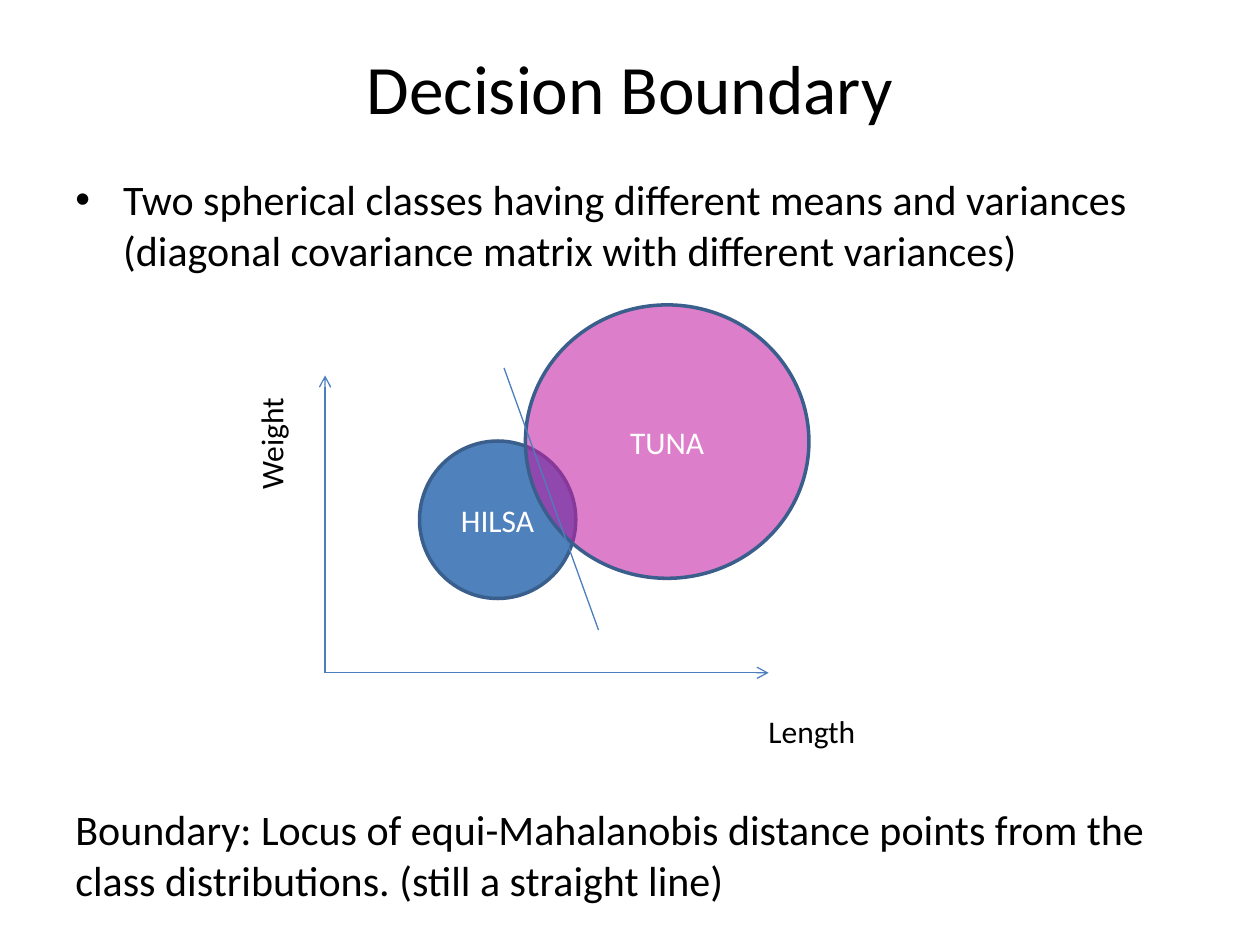
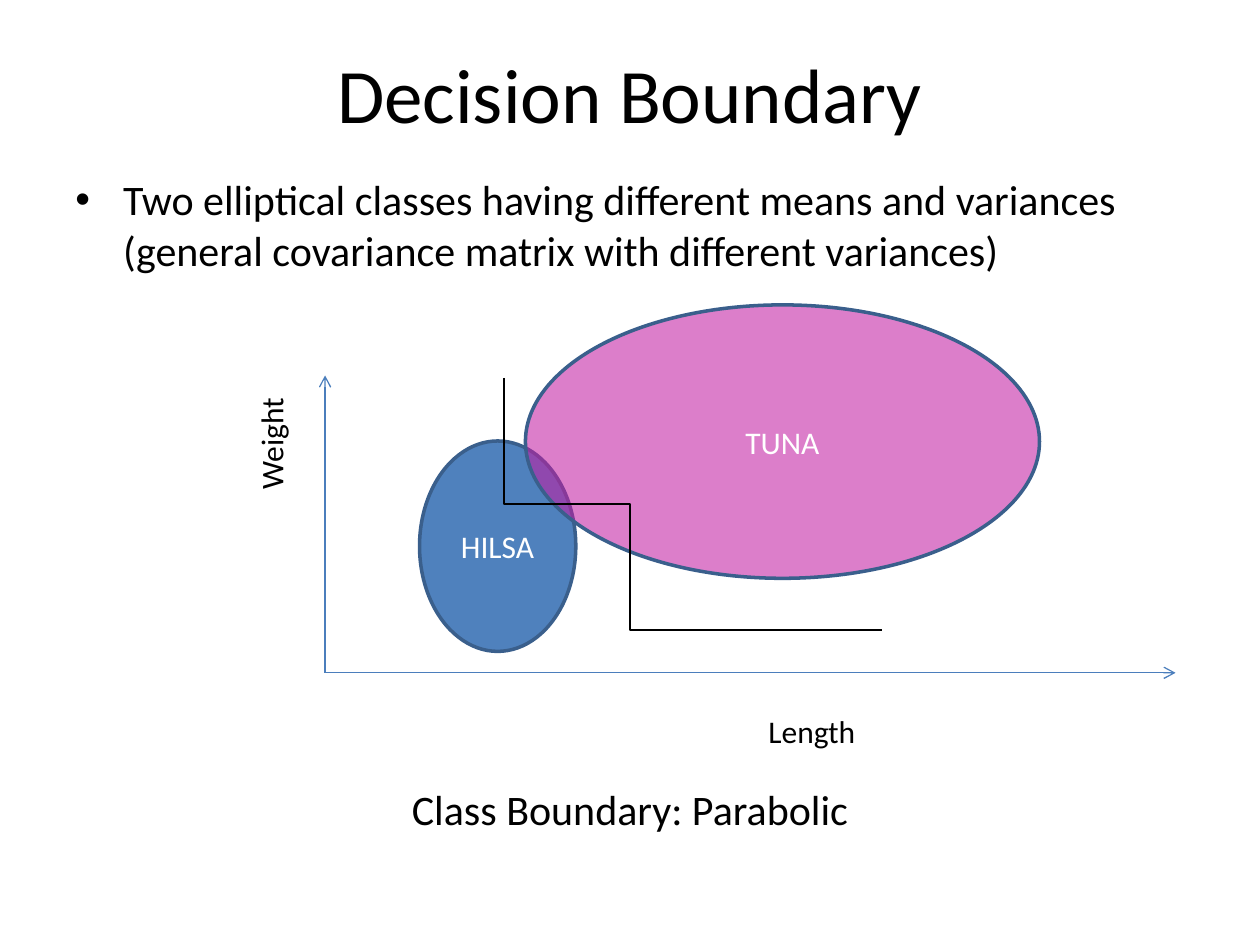
from lxml import etree
from pptx import Presentation
from pptx.dml.color import RGBColor
from pptx.enum import shapes, text
from pptx.oxml import ns
from pptx.util import Inches, Pt

BLACK = RGBColor(0x00, 0x00, 0x00)
WHITE = RGBColor(0xFF, 0xFF, 0xFF)
AXIS_BLUE = RGBColor(0x4B, 0x7E, 0xBC)
RIM_BLUE = RGBColor(0x3A, 0x5F, 0x8C)
HILSA_BLUE = RGBColor(0x4F, 0x81, 0xBD)
TUNA_PINK = RGBColor(0xC3, 0x1D, 0xA3)

ORIGIN = (2.58, 5.34)
PARABOLA_START = (4.09, 2.55)
PARABOLA_CURVES = [
    ((4.07, 2.84), (4.05, 3.13), (4.11, 3.37)),
    ((4.16, 3.61), (4.31, 3.8), (4.43, 4)),
    ((4.55, 4.2), (4.62, 4.4), (4.83, 4.55)),
    ((5.04, 4.71), (5.39, 4.82), (5.68, 4.92)),
    ((5.97, 5.03), (6.57, 5.18), (6.57, 5.18)),
]


def add_xml(parent, tag, **attributes):
    return etree.SubElement(parent, ns.qn(tag), attributes)


def bezier_points(start, curves, steps=12):
    """Sample a chain of cubic Bezier curves, leaving out the start point."""
    points = []
    for c1, c2, end in curves:
        for step in range(1, steps + 1):
            t = step / steps
            weights = ((1 - t) ** 3, 3 * t * (1 - t) ** 2, 3 * t * t * (1 - t), t ** 3)
            points.append(tuple(
                sum(w * p[axis] for w, p in zip(weights, (start, c1, c2, end)))
                for axis in (0, 1)))
        start = end
    return points


class Deck:
    font = "Calibri"
    title_size, body_size, label_size = 44, 24, 18
    thin, thick = Pt(0.75), Pt(2)

    def __init__(self):
        self.presentation = Presentation()
        self.presentation.slide_width = Inches(10)
        self.presentation.slide_height = Inches(7.5)
        self.slide = None

    def new_slide(self):
        self.slide = self.presentation.slides.add_slide(self.presentation.slide_layouts[6])

    def add_words(self, paragraph, words, size, color=BLACK):
        run = paragraph.add_run()
        run.text = words
        run.font.name = self.font
        run.font.size = Pt(size)
        run.font.color.rgb = color

    def text(self, box, lines, size, align=text.PP_ALIGN.LEFT, wrap=True,
             anchor=text.MSO_ANCHOR.TOP, rotation=0):
        textbox = self.slide.shapes.add_textbox(*map(Inches, box))
        textbox.rotation = rotation
        frame = textbox.text_frame
        frame.word_wrap = wrap
        frame.vertical_anchor = anchor
        for number, line in enumerate(lines):
            paragraph = frame.add_paragraph() if number else frame.paragraphs[0]
            paragraph.alignment = align
            self.add_words(paragraph, line, size)
        return frame

    def title(self, words, height, size):
        self.text((0.5, 0.3, 9, height), [words], size,
                  text.PP_ALIGN.CENTER, anchor=text.MSO_ANCHOR.MIDDLE)

    def bullet(self, words):
        frame = self.text((0.5, 1.33, 9, 0.58), [words], self.body_size)
        properties = frame.paragraphs[0]._p.get_or_add_pPr()
        properties.set("marL", str(Inches(0.38)))
        properties.set("indent", str(Inches(-0.38)))
        add_xml(properties, "a:buFont", typeface="Arial")
        add_xml(properties, "a:buChar", char="•")

    def line(self, start, end, arrow=False):
        connector = self.slide.shapes.add_connector(
            shapes.MSO_CONNECTOR.STRAIGHT, *map(Inches, (*start, *end)))
        connector.line.color.rgb = AXIS_BLUE
        connector.line.width = self.thin
        if arrow:
            add_xml(connector.line._get_or_add_ln(), "a:tailEnd", type="arrow")
        add_xml(connector._element.spPr, "a:effectLst")

    def fish_class(self, name, box, color, opacity=100):
        ellipse = self.slide.shapes.add_shape(shapes.MSO_SHAPE.OVAL, *map(Inches, box))
        ellipse.shadow.inherit = False
        ellipse.fill.solid()
        ellipse.fill.fore_color.rgb = color
        if opacity < 100:
            tint = ellipse._element.spPr.find(".//" + ns.qn("a:srgbClr"))
            add_xml(tint, "a:alpha", val=str(opacity * 1000))
        ellipse.line.color.rgb = RIM_BLUE
        ellipse.line.width = self.thick
        frame = ellipse.text_frame
        frame.vertical_anchor = text.MSO_ANCHOR.MIDDLE
        frame.paragraphs[0].alignment = text.PP_ALIGN.CENTER
        self.add_words(frame.paragraphs[0], name, self.label_size, WHITE)

    def curve(self, start, curves):
        builder = self.slide.shapes.build_freeform(*start, scale=Inches(1))
        builder.add_line_segments(bezier_points(start, curves), close=False)
        outline = builder.convert_to_shape()
        outline.shadow.inherit = False
        outline.fill.background()
        outline.line.color.rgb = BLACK
        outline.line.width = self.thin

    def feature_plot(self, axis_end, hilsa_height, tuna_width):
        """Draw the length and weight axes with the two overlapping fish classes."""
        self.line(ORIGIN, (axis_end, ORIGIN[1]), arrow=True)
        self.line(ORIGIN, (ORIGIN[0], 2.98), arrow=True)
        self.fish_class("HILSA", (3.33, 3.5, 1.24, hilsa_height), HILSA_BLUE)
        self.fish_class("TUNA", (4.17, 2.42, tuna_width, 2.17), TUNA_PINK, opacity=57)
        self.text((6, 5.6, 1.58, 0.4), ["Length"], self.label_size)
        self.text((1.2, 2.83, 1.9, 0.4), ["Weight"], self.label_size, rotation=270)

    def conclusion(self, box, *lines):
        self.text(box, lines, self.body_size, wrap=False)


def spherical_slide(deck):
    deck.new_slide()
    deck.title("Decision Boundary", 0.78, 39.6)
    deck.bullet("Two spherical classes having different means and variances "
                "(diagonal covariance matrix with different variances)")
    deck.feature_plot(axis_end=6.1, hilsa_height=1.25, tuna_width=2.25)
    deck.line((4, 2.92), (4.75, 5))
    deck.conclusion((0.5, 6.33, 8.84, 0.91),
                    "Boundary: Locus of equi-Mahalanobis distance points from the",
                    "class distributions. (still a straight line)")


def elliptical_slide(deck):
    deck.new_slide()
    deck.title("Decision Boundary", 0.87, deck.title_size)
    deck.bullet("Two elliptical classes having different means and variances "
                "(general covariance matrix with different variances)")
    deck.feature_plot(axis_end=9.33, hilsa_height=1.67, tuna_width=4.08)
    deck.conclusion((3.17, 6.17, 3.7, 0.5), "Class Boundary: Parabolic")
    deck.curve(PARABOLA_START, PARABOLA_CURVES)


def main():
    deck = Deck()
    spherical_slide(deck)
    elliptical_slide(deck)
    deck.presentation.save("out.pptx")


if __name__ == "__main__":
    main()
